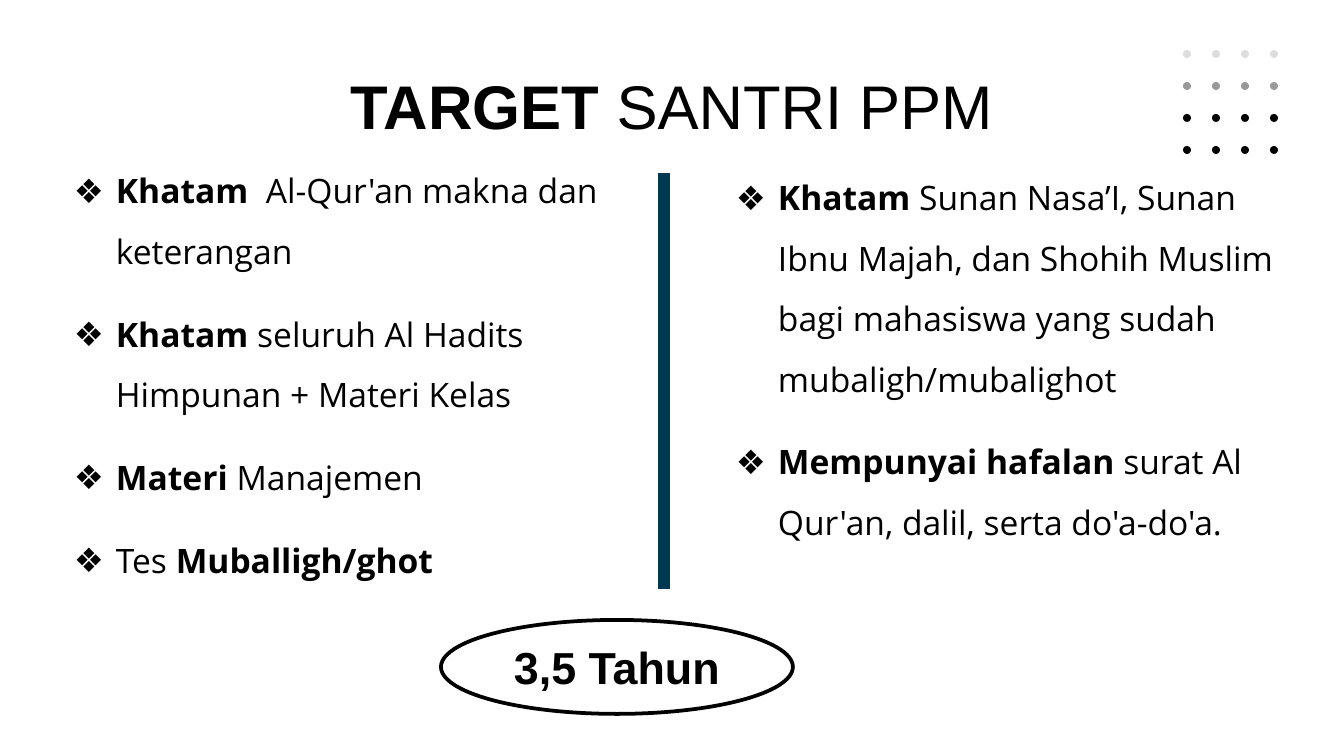
from lxml import etree
from pptx import Presentation
from pptx import util as u
from pptx.dml.color import RGBColor
from pptx.enum import shapes, text
from pptx.oxml.ns import qn

EMU_PER_PX = 914400 / 134.4
COLORS = {"ink": "000000", "paper": "FFFFFF", "divider": "003852",
          "light_dot": "DDDDDD", "mid_dot": "999999"}

# Each run is (wording, bold).
TITLE = [("TARGET", True), (" SANTRI PPM", False)]
LEFT_TARGETS = [
    [("Khatam", True), ("  Al-Qur'an makna dan keterangan", False)],
    [("Khatam ", True), ("seluruh Al Hadits Himpunan + Materi Kelas", False)],
    [("Materi ", True), ("Manajemen", False)],
    [("Tes ", False), ("Muballigh/ghot", True)],
]
RIGHT_TARGETS = [
    [("Khatam", True), (" Sunan Nasa’I, Sunan Ibnu Majah, dan Shohih Muslim "
                        "bagi mahasiswa yang sudah mubaligh/mubalighot", False)],
    [("Mempunyai hafalan ", True),
     ("surat Al Qur'an, dalil, serta do'a-do'a.", False)],
]


def px(length):
    return u.Emu(round(length * EMU_PER_PX))


def color(name):
    return RGBColor.from_string(COLORS[name])


def add_runs(paragraph, runs, font, size):
    for wording, bold in runs:
        run = paragraph.add_run()
        run.text = wording
        run.font.name = font
        run.font.size = u.Pt(size)
        run.font.bold = bold
        run.font.color.rgb = color("ink")


def set_frame(frame, anchor, side=13, top=13, bottom=13):
    frame.word_wrap = True
    frame.auto_size = text.MSO_AUTO_SIZE.NONE
    frame.vertical_anchor = anchor
    frame.margin_left = frame.margin_right = px(side)
    frame.margin_top, frame.margin_bottom = px(top), px(bottom)


def set_title(slide):
    title = slide.shapes.title
    title.left, title.top, title.width, title.height = map(px, (105, 62, 1134, 78))
    set_frame(title.text_frame, text.MSO_ANCHOR.TOP, top=6, bottom=0)
    paragraph = title.text_frame.paragraphs[0]
    paragraph.alignment = text.PP_ALIGN.CENTER
    add_runs(paragraph, TITLE, "Arial", 33)


def set_bullet(paragraph, char, left, hanging):
    properties = paragraph._p.get_or_add_pPr()
    properties.set("marL", str(px(left)))
    properties.set("indent", str(px(-hanging)))
    etree.SubElement(properties, qn("a:buFont"), typeface="Open Sans")
    etree.SubElement(properties, qn("a:buChar"), char=char)


def add_targets(slide, targets, left, top, width):
    frame = slide.shapes.add_textbox(*map(px, (left, top, width, 149))).text_frame
    set_frame(frame, text.MSO_ANCHOR.TOP)
    for index, runs in enumerate(targets):
        paragraph = frame.add_paragraph() if index else frame.paragraphs[0]
        set_bullet(paragraph, "❖", 98, 42)
        paragraph.line_spacing = 1.5
        paragraph.space_after = u.Pt(12)
        add_runs(paragraph, runs, "Open Sans", 18)


def add_divider(slide, x, top, bottom):
    divider = slide.shapes.add_connector(
        shapes.MSO_CONNECTOR.STRAIGHT, *map(px, (x, top, x, bottom)))
    divider.line.color.rgb = color("divider")
    divider.line.width = u.Pt(6)
    etree.SubElement(divider._element.spPr, qn("a:effectLst"))


def add_oval(slide, left, top, width, height, fill):
    oval = slide.shapes.add_shape(
        shapes.MSO_SHAPE.OVAL, *map(px, (left, top, width, height)))
    oval.shadow.inherit = False
    oval.fill.solid()
    oval.fill.fore_color.rgb = color(fill)
    oval.line.fill.background()
    return oval


def add_dot_grid(slide, left, top, columns=4):
    for row, shade in enumerate(("light_dot", "mid_dot", "ink", "ink")):
        for column in range(columns):
            add_oval(slide, left + 29 * column, top + 32 * row, 8, 8, shade)


def add_duration(slide):
    duration = add_oval(slide, 441, 620, 352, 94, "paper")
    duration.line.color.rgb = color("ink")
    duration.line.width = u.Pt(2)
    set_frame(duration.text_frame, text.MSO_ANCHOR.MIDDLE, top=6, bottom=6)
    paragraph = duration.text_frame.paragraphs[0]
    paragraph.alignment = text.PP_ALIGN.CENTER
    add_runs(paragraph, [("3,5 Tahun", True)], "Arial", 24)


def main():
    deck = Presentation()
    deck.slide_width, deck.slide_height = px(1344), px(756)
    slide = deck.slides.add_slide(deck.slide_layouts[5])
    set_title(slide)
    add_targets(slide, LEFT_TARGETS, 5, 137, 659)
    add_divider(slide, 664, 173, 589)
    add_dot_grid(slide, 1183, 50)
    add_targets(slide, RIGHT_TARGETS, 667, 144, 656)
    add_duration(slide)
    deck.save("out.pptx")


if __name__ == "__main__":
    main()
